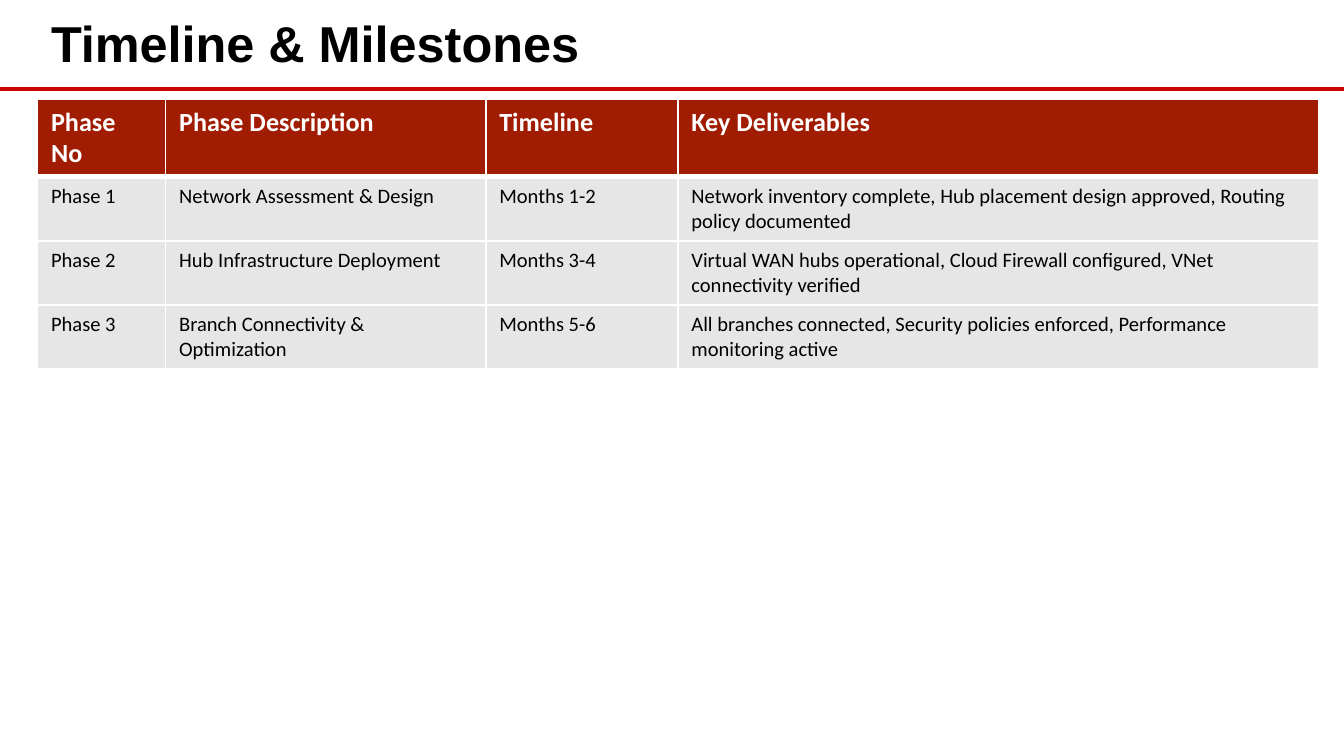
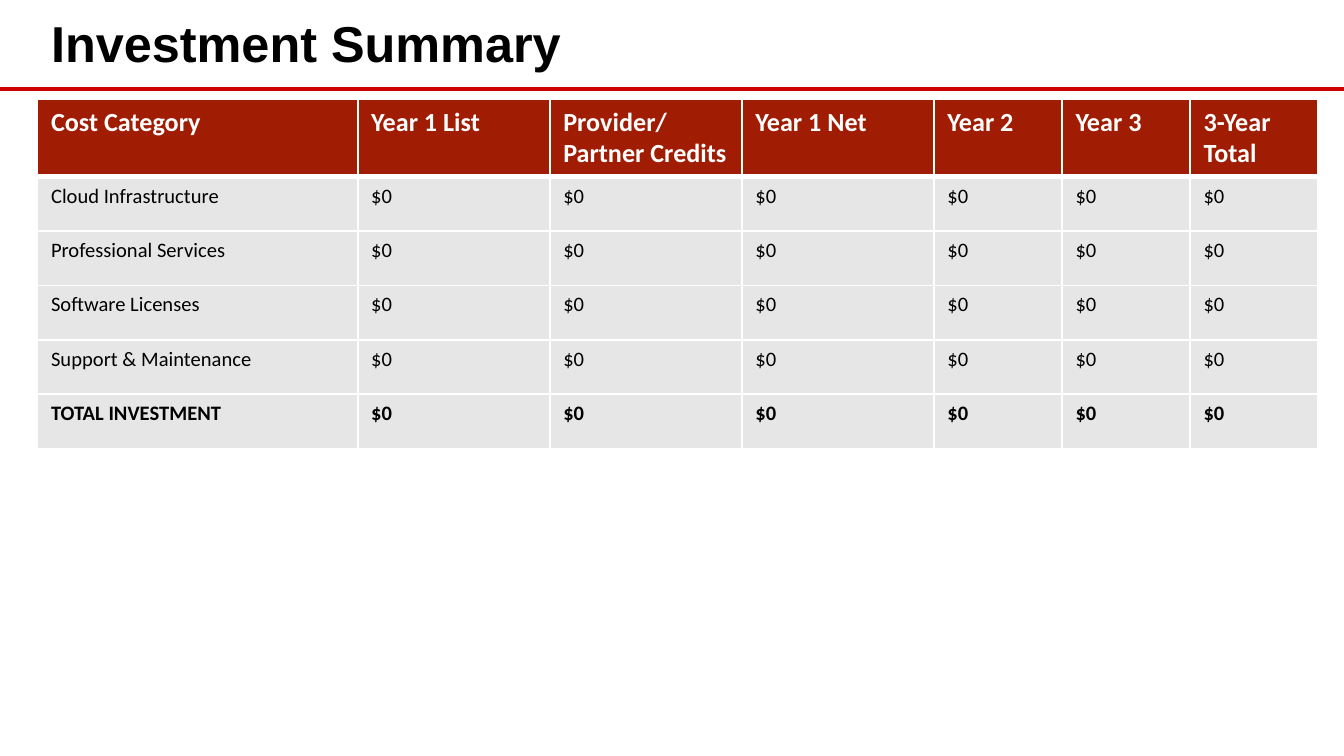
"""Build the timeline and investment table slides."""
import dataclasses
import typing

import pptx
import pptx.dml.color
import pptx.enum.shapes
import pptx.enum.text
import pptx.oxml.ns
import pptx.presentation
import pptx.slide
import pptx.table
import pptx.util
from lxml import etree

SLIDE_WIDTH = 10
SLIDE_HEIGHT = SLIDE_WIDTH * 9 / 16
LEFT, CONTENT_WIDTH = 0.28, 9.53
TITLE_TOP, TITLE_HEIGHT = 0.04, 0.58
RULE_TOP, TABLE_TOP = 0.66, 0.74
COLUMN = CONTENT_WIDTH / 20
ROW = 2.43 / 6

BLACK, WHITE, RULE_RED = "000000", "FFFFFF", "CC0000"
HEADER_RED, BODY_GREY = "A01C02", "E7E6E6"

Format = dict[str, typing.Any]
TITLE_FONT: Format = {"name": "Arial", "size": pptx.util.Pt(27), "bold": True}
HEADER_FONT: Format = {"name": "Calibri", "size": pptx.util.Pt(14), "bold": True}
BODY_FONT: Format = {"name": "Calibri", "size": pptx.util.Pt(11), "bold": False}
TOTAL_FONT: Format = BODY_FONT | {"bold": True}
TITLE_BOX: Format = {
    "left": pptx.util.Inches(LEFT),
    "top": pptx.util.Inches(TITLE_TOP),
    "width": pptx.util.Inches(CONTENT_WIDTH),
    "height": pptx.util.Inches(TITLE_HEIGHT),
}
TITLE_FRAME: Format = {
    "word_wrap": True,
    "auto_size": pptx.enum.text.MSO_AUTO_SIZE.NONE,
    "vertical_anchor": pptx.enum.text.MSO_ANCHOR.MIDDLE,
    "margin_bottom": pptx.util.Inches(0.08),
}


@dataclasses.dataclass(frozen=True)
class TableSlide:
    """A titled table whose column spans are counted in grid columns."""

    title: str
    spans: tuple[int, ...]
    header: tuple[str, ...]
    rows: tuple[tuple[str, ...], ...]
    has_total: bool = False


def cost_row(category: str) -> tuple[str, ...]:
    """Return a cost category followed by its six zero amounts."""
    return (category, *["$0"] * 6)


TABLE_SLIDES = (
    TableSlide(
        "Timeline & Milestones",
        (2, 5, 3, 10),
        ("Phase No", "Phase Description", "Timeline", "Key Deliverables"),
        (
            ("Phase 1", "Network Assessment & Design", "Months 1-2",
             "Network inventory complete, Hub placement design approved, Routing policy documented"),
            ("Phase 2", "Hub Infrastructure Deployment", "Months 3-4",
             "Virtual WAN hubs operational, Cloud Firewall configured, VNet connectivity verified"),
            ("Phase 3", "Branch Connectivity & Optimization", "Months 5-6",
             "All branches connected, Security policies enforced, Performance monitoring active"),
        ),
    ),
    TableSlide(
        "Investment Summary",
        (5, 3, 3, 3, 2, 2, 2),
        ("Cost Category", "Year 1 List", "Provider/Partner Credits", "Year 1 Net",
         "Year 2", "Year 3", "3-Year Total"),
        tuple(cost_row(category) for category in (
            "Cloud Infrastructure", "Professional Services", "Software Licenses",
            "Support & Maintenance", "TOTAL INVESTMENT")),
        has_total=True,
    ),
)


def color(value: str) -> pptx.dml.color.RGBColor:
    """Turn a hex string into a colour."""
    return pptx.dml.color.RGBColor.from_string(value)


def apply_format(target: typing.Any, values: Format) -> None:
    """Set every attribute named in the format."""
    for name, value in values.items():
        setattr(target, name, value)


def add_title(slide: pptx.slide.Slide, text: str) -> None:
    """Fill and place the title placeholder."""
    shape = slide.shapes.title
    apply_format(shape, TITLE_BOX)
    apply_format(shape.text_frame, TITLE_FRAME)
    paragraph = shape.text_frame.paragraphs[0]
    paragraph.text = text
    paragraph.alignment = pptx.enum.text.PP_ALIGN.LEFT
    font = paragraph.runs[0].font
    apply_format(font, TITLE_FONT)
    font.color.rgb = color(BLACK)


def add_rule(slide: pptx.slide.Slide) -> None:
    """Draw the full-width rule under the title."""
    top = pptx.util.Inches(RULE_TOP)
    rule = slide.shapes.add_connector(
        pptx.enum.shapes.MSO_CONNECTOR.STRAIGHT, 0, top, pptx.util.Inches(SLIDE_WIDTH), top)
    rule.line.color.rgb = color(RULE_RED)
    rule.line.width = pptx.util.Pt(2.25)
    etree.SubElement(rule._element.spPr, pptx.oxml.ns.qn("a:effectLst"))


def set_borders(cell: pptx.table._Cell, top: float, bottom: float) -> None:
    """Give a cell white borders of the given widths in points."""
    properties = cell._tc.get_or_add_tcPr()
    for side, width in {"L": 1, "R": 1, "T": top, "B": bottom}.items():
        line = etree.SubElement(
            properties, pptx.oxml.ns.qn(f"a:ln{side}"), w=str(pptx.util.Pt(width)))
        fill = etree.SubElement(line, pptx.oxml.ns.qn("a:solidFill"))
        etree.SubElement(fill, pptx.oxml.ns.qn("a:srgbClr"), val=WHITE)


def fill_cell(cell: pptx.table._Cell, text: str, font_format: Format,
              text_color: str, fill_color: str) -> None:
    """Write and colour one cell."""
    cell.fill.solid()
    cell.fill.fore_color.rgb = color(fill_color)
    cell.text = text
    font = cell.text_frame.paragraphs[0].runs[0].font
    apply_format(font, font_format)
    font.color.rgb = color(text_color)


def add_table(slide: pptx.slide.Slide, content: TableSlide) -> None:
    """Draw the table on the column and row grid."""
    rows = (content.header, *content.rows)
    table = slide.shapes.add_table(
        len(rows), len(content.spans), pptx.util.Inches(LEFT), pptx.util.Inches(TABLE_TOP),
        pptx.util.Inches(CONTENT_WIDTH), pptx.util.Inches(ROW * len(rows))).table
    table.horz_banding = False
    for column, span in zip(table.columns, content.spans):
        column.width = pptx.util.Inches(span * COLUMN)
    for row_index, texts in enumerate(rows):
        table.rows[row_index].height = pptx.util.Inches(ROW)
        is_header = row_index == 0
        is_total = content.has_total and row_index == len(rows) - 1
        style = ((HEADER_FONT, WHITE, HEADER_RED) if is_header
                 else (TOTAL_FONT if is_total else BODY_FONT, BLACK, BODY_GREY))
        for column_index, text in enumerate(texts):
            cell = table.cell(row_index, column_index)
            set_borders(cell, top=3 if row_index == 1 else 1, bottom=3 if is_header else 1)
            fill_cell(cell, text, *style)


def add_table_slide(presentation: pptx.presentation.Presentation, content: TableSlide) -> None:
    """Add one slide with its title, rule and table."""
    slide = presentation.slides.add_slide(presentation.slide_layouts.get_by_name("Title Only"))
    slide.background.fill.solid()
    slide.background.fill.fore_color.rgb = color(WHITE)
    add_rule(slide)
    add_title(slide, content.title)
    add_table(slide, content)


def main() -> None:
    """Build and save the presentation."""
    presentation = pptx.Presentation()
    presentation.slide_width = pptx.util.Inches(SLIDE_WIDTH)
    presentation.slide_height = pptx.util.Inches(SLIDE_HEIGHT)
    for content in TABLE_SLIDES:
        add_table_slide(presentation, content)
    presentation.save("out.pptx")


if __name__ == "__main__":
    main()
